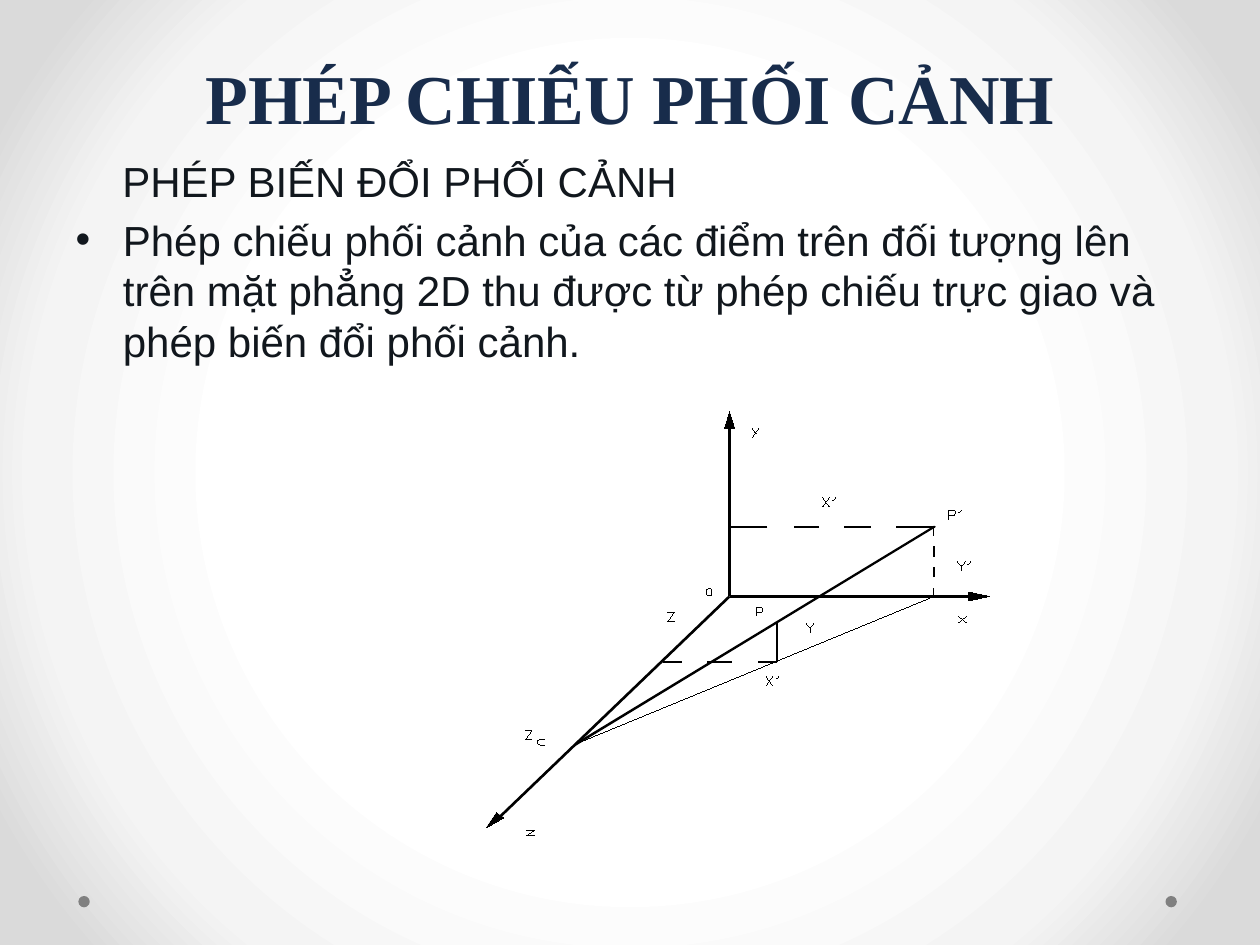
from itertools import pairwise

from lxml import etree
from pptx import Presentation
from pptx.dml.color import RGBColor
from pptx.enum.shapes import MSO_CONNECTOR, MSO_SHAPE
from pptx.enum.text import MSO_ANCHOR, MSO_AUTO_SIZE, PP_ALIGN
from pptx.oxml import parse_xml
from pptx.oxml.ns import nsdecls, qn
from pptx.util import Pt

STRAIGHT = MSO_CONNECTOR.STRAIGHT
ELLIPSE = MSO_SHAPE.OVAL
BOTTOM = MSO_ANCHOR.BOTTOM
CENTER = PP_ALIGN.CENTER
NO_FIT = MSO_AUTO_SIZE.NONE

BLACK = RGBColor(0x00, 0x00, 0x00)
NAVY = RGBColor(0x18, 0x2C, 0x4B)
INK = RGBColor(0x11, 0x17, 0x1D)
GREY = RGBColor(0x80, 0x80, 0x80)
BACKGROUND_STOPS = [
    (50, RGBColor(0xFF, 0xFF, 0xFF)),
    (76, RGBColor(0xF4, 0xF4, 0xF4)),
    (92, RGBColor(0xDA, 0xDA, 0xDA)),
]

# Line widths
HAIR, THIN, AXIS = 0.01, 1, 1.5

# Key points of the projection, in points
ORIGIN = (416.9, 340.8)
VIEWPOINT = (329.2, 425)
P = (444.2, 355.7)
P_FOOT = (444.2, 378.2)
P_IMAGE = (533.7, 301)
P_IMAGE_FOOT = (533.7, 340.8)

# Each axis: far end of its line, then its arrowhead
AXES = [
    ((553.7, 340.8), [(553.7, 338.4), (565.2, 340.8), (553.7, 343.4)]),
    ((416.9, 244.8), [(414, 244.8), (416.9, 235.4), (419.8, 244.8)]),
    ((285.1, 467.3), [(288, 467.3), (277.9, 473), (283.7, 464.4)]),
]

# Dashes: start and end along the broken line
IMAGE_X_DASHES = [(533.7, 511.9), (497.5, 482.4), (468, 453.6), (438.5, 416.9)]
POINT_X_DASHES = [(444.2, 433.4), (418.3, 403.9), (389.5, 378.7)]
IMAGE_Y_DASHES = [(340.8, 336.2, HAIR), (329.8, 324, THIN),
                  (318.2, 311.8, THIN), (306, 301, HAIR)]

# Plotter letters: pen strokes from the top left corner
LETTERS = {
    "x": [[(0, 3.6), (4.3, 0)], [(0, 0), (4.3, 3.6)]],
    "y": [[(0, 0), (2.2, 2.9)], [(3.6, 0), (0.7, 4.3), (0, 5)]],
    "z": [[(0, 0), (4.3, 0), (0, 2.9), (4.3, 2.9)]],
    "X": [[(0, 5), (3.6, 0)], [(0, 0), (3.6, 5)]],
    "Y": [[(0, 0), (2.2, 2.2)], [(2.2, 2.2), (2.2, 5)], [(2.2, 2.2), (4.3, 0)]],
    "Z": [[(0, 0), (3.6, 0), (0, 5), (3.6, 5)]],
    "P": [[(0, 5), (0, 0), (2.9, 0), (4, 0.7), (4, 1.4), (2.9, 2.9), (0, 2.9)]],
    "C": [[(3.6, 0), (0.7, 0), (0, 0.7), (0, 2.2), (0.7, 2.9), (3.6, 3.6)]],
    "0": [[(0.7, 4.3), (0, 3.6), (0, 0.7), (0.7, 0), (2.2, 0), (2.9, 0.7),
           (2.9, 3.6), (2.2, 4.3), (0.7, 4.3)]],
    "’": [[(0, 1.4), (1.4, 0)]],
}
PRIME_OFFSET = 5.8

# Labels: letters, left, top
LABELS = [
    ("y", 429.8, 244.8),
    ("x", 547.9, 352.1),
    ("z", 301, 474.5),
    ("0", 403.9, 336.2),
    ("Z", 381.6, 349.9),
    ("Z", 300.2, 417.6),
    ("C", 307.4, 422.6),
    ("P", 432, 347),
    ("Y", 460.8, 356.4),
    ("X’", 437.8, 386.6),
    ("X’", 470.2, 284.4),
    ("P’", 542.2, 291.6),
    ("Y’", 547.2, 321.1),
]


def set_background(slide):
    stops = "".join(f'<a:gs pos="{pos * 1000}"><a:srgbClr val="{color}"/></a:gs>'
                    for pos, color in BACKGROUND_STOPS)
    background = parse_xml(
        f'<p:bg {nsdecls("p", "a")}><p:bgPr><a:gradFill rotWithShape="1">'
        f'<a:gsLst>{stops}</a:gsLst><a:path path="circle">'
        '<a:fillToRect l="50000" t="50000" r="50000" b="50000"/></a:path>'
        '</a:gradFill><a:effectLst/></p:bgPr></p:bg>')
    slide.element.cSld.insert(0, background)


def place(shape, left, top, width, height):
    shape.left, shape.top = Pt(left), Pt(top)
    shape.width, shape.height = Pt(width), Pt(height)


def add_run(paragraph, text, size, color, font="Arial", bold=False):
    run = paragraph.add_run()
    run.text = text
    run.font.size = Pt(size)
    run.font.name = font
    run.font.bold = bold
    run.font.color.rgb = color


def set_indent(paragraph, margin, bullet=None):
    """Hanging bullet, or plain text at the margin."""
    properties = paragraph._p.get_or_add_pPr()
    properties.set("marL", str(Pt(margin)))
    properties.set("indent", str(Pt(-margin if bullet else 0)))
    if bullet:
        etree.SubElement(properties, qn("a:buChar")).set("char", bullet)
    else:
        etree.SubElement(properties, qn("a:buNone"))


def add_line(shapes, start, end, width):
    line = shapes.add_connector(STRAIGHT, *map(Pt, start + end))
    line.line.color.rgb = BLACK
    line.line.width = Pt(width)
    etree.SubElement(line._element.spPr, qn("a:effectLst"))


def add_polygon(shapes, points, width):
    corners = [(Pt(x), Pt(y)) for x, y in points]
    builder = shapes.build_freeform(*corners[0])
    builder.add_line_segments(corners[1:], close=True)
    polygon = builder.convert_to_shape()
    polygon.shadow.inherit = False
    polygon.fill.solid()
    polygon.fill.fore_color.rgb = BLACK
    polygon.line.color.rgb = BLACK
    polygon.line.width = Pt(width)


def add_label(shapes, letters, left, top):
    for position, letter in enumerate(letters):
        x = left + position * PRIME_OFFSET
        for stroke in LETTERS[letter]:
            points = [(x + dx, top + dy) for dx, dy in stroke]
            for start, end in pairwise(points):
                add_line(shapes, start, end, HAIR)


def add_dot(shapes, left):
    dot = shapes.add_shape(ELLIPSE, Pt(left), Pt(512), Pt(6.5), Pt(6.5))
    dot.shadow.inherit = False
    dot.fill.solid()
    dot.fill.fore_color.rgb = GREY
    dot.line.fill.background()


def fill_title(title):
    place(title, 36, 0, 648, 82.8)
    frame = title.text_frame
    frame.auto_size = NO_FIT
    frame.vertical_anchor = BOTTOM
    heading = frame.paragraphs[0]
    heading.alignment = CENTER
    heading.line_spacing = Pt(58)
    add_run(heading, "PHÉP CHIẾU PHỐI CẢNH", 40, NAVY, "Times New Roman", True)


def fill_body(body):
    place(body, 36, 85.2, 648, 457)
    frame = body.text_frame
    frame.auto_size = NO_FIT
    subtitle = frame.paragraphs[0]
    set_indent(subtitle, 26.7)
    add_run(subtitle, "PHÉP BIẾN ĐỔI PHỐI CẢNH", 24, INK)
    definition = frame.add_paragraph()
    set_indent(definition, 27, "•")
    add_run(definition, "Phép chiếu phối cảnh của các điểm trên đối tượng lên "
            "trên mặt phẳng 2D thu được từ phép chiếu trực giao và "
            "phép biến đổi phối cảnh.", 24, INK)


def draw_projection(shapes):
    # Axes
    for end, arrowhead in AXES:
        add_line(shapes, ORIGIN, end, AXIS)
        add_polygon(shapes, arrowhead, HAIR)

    # Rays from the viewpoint and the height of P
    add_line(shapes, VIEWPOINT, P_IMAGE_FOOT, HAIR)
    (x, y), (image_x, image_y) = VIEWPOINT, P_IMAGE
    add_polygon(shapes, [(image_x + 0.5, image_y), (x, y + 0.5),
                         VIEWPOINT, P_IMAGE], THIN)
    add_line(shapes, P, P_FOOT, THIN)

    # Broken coordinate lines
    for dashes, (_, y) in ((IMAGE_X_DASHES, P_IMAGE), (POINT_X_DASHES, P_FOOT)):
        for start, end in dashes:
            add_line(shapes, (start, y), (end, y), THIN)
    for start, end, width in IMAGE_Y_DASHES:
        add_line(shapes, (image_x, start), (image_x, end), width)

    for label in LABELS:
        add_label(shapes, *label)


def main():
    prs = Presentation()
    prs.slide_width, prs.slide_height = Pt(720), Pt(540)
    slide = prs.slides.add_slide(prs.slide_layouts[1])
    set_background(slide)

    # Title and text
    fill_title(slide.shapes.title)
    fill_body(slide.placeholders[1])

    # Corner dots
    for left in (666, 44.8):
        add_dot(slide.shapes, left)

    # Perspective diagram
    draw_projection(slide.shapes.add_group_shape().shapes)

    prs.save("out.pptx")


if __name__ == "__main__":
    main()
